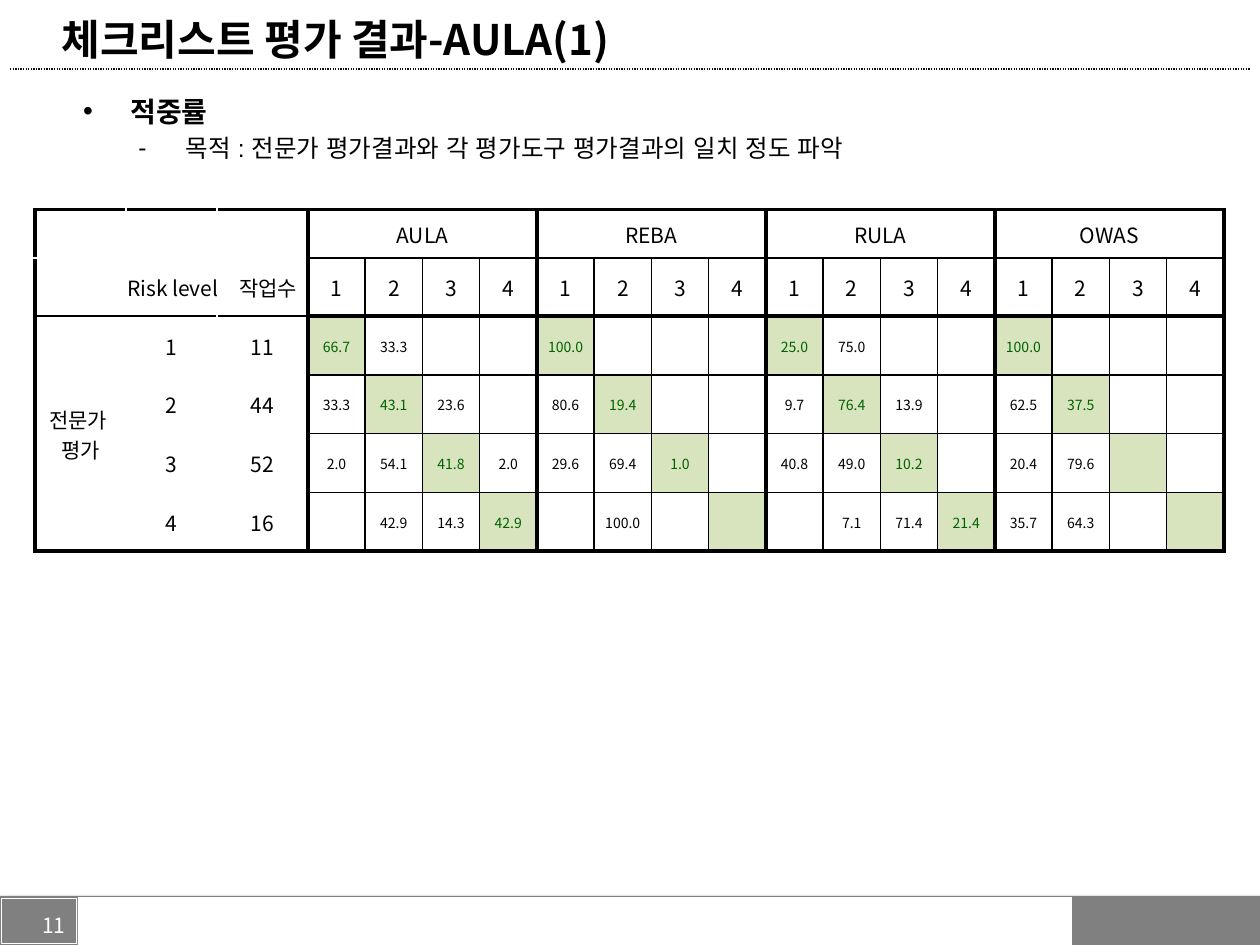
from lxml import etree
from pptx import Presentation
from pptx.dml.color import RGBColor
from pptx.enum.dml import MSO_LINE
from pptx.enum.shapes import MSO_CONNECTOR, MSO_SHAPE
from pptx.enum.text import MSO_ANCHOR, PP_ALIGN
from pptx.oxml.ns import qn
from pptx.util import Pt

LEFT, CENTER, RIGHT = PP_ALIGN.LEFT, PP_ALIGN.CENTER, PP_ALIGN.RIGHT
TOP, MIDDLE = MSO_ANCHOR.TOP, MSO_ANCHOR.MIDDLE
RECTANGLE, STRAIGHT = MSO_SHAPE.RECTANGLE, MSO_CONNECTOR.STRAIGHT
DOTTED = MSO_LINE.ROUND_DOT

BLACK = RGBColor(0x00, 0x00, 0x00)
WHITE = RGBColor(0xFF, 0xFF, 0xFF)
GRAY = RGBColor(0x80, 0x80, 0x80)
RULE_COLOR = RGBColor(0x0D, 0x0D, 0x0D)
HIT_FILL = RGBColor(0xD7, 0xE4, 0xBD)
HIT_TEXT = RGBColor(0x00, 0x61, 0x00)

KOREAN_FONT = "Noto Sans CJK KR"
BODY_FONT = "Arial"

HEAVY, THIN, HIDDEN = (BLACK, 2.25), (BLACK, 1), (WHITE, 1)
LABEL_COLUMNS, HEADER_ROWS, LEVELS = 3, 2, 4
TASK_COUNTS = [11, 44, 52, 16]
HIT_RATES = {
    "AULA": [["66.7", "33.3", "", ""], ["33.3", "43.1", "23.6", ""],
             ["2.0", "54.1", "41.8", "2.0"], ["", "42.9", "14.3", "42.9"]],
    "REBA": [["100.0", "", "", ""], ["80.6", "19.4", "", ""],
             ["29.6", "69.4", "1.0", ""], ["", "100.0", "", ""]],
    "RULA": [["25.0", "75.0", "", ""], ["9.7", "76.4", "13.9", ""],
             ["40.8", "49.0", "10.2", ""], ["", "7.1", "71.4", "21.4"]],
    "OWAS": [["100.0", "", "", ""], ["62.5", "37.5", "", ""],
             ["20.4", "79.6", "", ""], ["35.7", "64.3", "", ""]],
}
ROW_HEIGHTS = [27.6, 33.2] + [33.6] * LEVELS
LABEL_WIDTH, LEVEL_WIDTH = 52, 32.73
COLUMN_COUNT = LABEL_COLUMNS + LEVELS * len(HIT_RATES)
HEAVY_COLUMN_EDGES = {0, *range(LABEL_COLUMNS, COLUMN_COUNT + 1, LEVELS)}


def write(paragraph, text, size=12, color=BLACK, font=KOREAN_FONT, bold=False, align=CENTER):
    paragraph.alignment = align
    for index, line in enumerate(text.split("\n")):
        if index:
            paragraph.add_line_break()
        run = paragraph.add_run()
        run.text = line
        run.font.size, run.font.bold, run.font.name = Pt(size), bold, font
        run.font.color.rgb = color
        etree.SubElement(run.font._element, qn("a:ea"), typeface=font)


def add_rectangle(slide, left, top, width, height, fill=None, line=None):
    shape = slide.shapes.add_shape(RECTANGLE, Pt(left), Pt(top), Pt(width), Pt(height))
    shape.shadow.inherit = False
    if fill is None:
        shape.fill.background()
    else:
        shape.fill.solid()
        shape.fill.fore_color.rgb = fill
    if line is None:
        shape.line.fill.background()
    else:
        shape.line.color.rgb = line
        shape.line.width = Pt(0.5)
    return shape


def add_footer(slide, left, top, width, height):
    bar = add_rectangle(slide, left, top, width, height, fill=GRAY)
    effects = bar._element.spPr.find(qn("a:effectLst"))
    shadow = etree.SubElement(effects, qn("a:outerShdw"), blurRad=str(Pt(3.1)),
                              dist=str(Pt(1.6)), dir="5400000", rotWithShape="0")
    color = etree.SubElement(shadow, qn("a:srgbClr"), val=str(BLACK))
    etree.SubElement(color, qn("a:alpha"), val="38000")

    number_width = 44.6
    add_rectangle(slide, left + number_width, top + 0.8, 568, height - 0.8, fill=WHITE)
    add_rectangle(slide, left + 0.7, top + 1.5, 43.2, 25.9, line=WHITE)
    number = slide.shapes.add_textbox(Pt(left), Pt(top + 5.8), Pt(number_width), Pt(22.3))
    number.text_frame.word_wrap = True
    number.text_frame.vertical_anchor = MIDDLE
    write(number.text_frame.paragraphs[0], "11", color=WHITE, align=RIGHT)


def add_title(slide, left, top, width, height):
    title = slide.shapes.title
    title.left, title.top, title.width, title.height = map(Pt, (left, top, width, height))
    title.text_frame.vertical_anchor = MIDDLE
    write(title.text_frame.paragraphs[0], "체크리스트 평가 결과-AULA(1)",
          size=24, bold=True, align=LEFT)

    rule = slide.shapes.add_connector(STRAIGHT, Pt(5.8), Pt(top + height),
                                      Pt(714.2), Pt(top + height))
    rule.line.color.rgb = RULE_COLOR
    rule.line.width = Pt(0.75)
    rule.line.dash_style = DOTTED
    etree.SubElement(rule._element.spPr, qn("a:effectLst"))


def add_body(slide, left, top, width, height):
    frame = slide.shapes.add_textbox(Pt(left), Pt(top), Pt(width), Pt(height)).text_frame
    frame.word_wrap = True
    frame.vertical_anchor = TOP
    lines = [("•", "적중률", 16, True),
             ("-", "목적 : 전문가 평가결과와 각 평가도구 평가결과의 일치 정도 파악", 14, False)]
    for level, (bullet, text, size, bold) in enumerate(lines):
        paragraph = frame.add_paragraph() if level else frame.paragraphs[0]
        paragraph.level = level
        paragraph.space_before = Pt(size * 0.2 * level)
        write(paragraph, text, size=size, font=BODY_FONT, bold=bold, align=LEFT)
        properties = paragraph._p.get_or_add_pPr()
        properties.set("marL", str(Pt(31.5 * (level + 1))))
        properties.set("indent", str(Pt(-27)))
        etree.SubElement(properties, qn("a:buFont"), typeface=BODY_FONT)
        etree.SubElement(properties, qn("a:buChar"), char=bullet)


def column_edge(edge):
    if edge in HEAVY_COLUMN_EDGES:
        return HEAVY
    return HIDDEN if edge < LABEL_COLUMNS else THIN


def row_edge(edge, column):
    if edge in (0, len(ROW_HEIGHTS)):
        return HEAVY
    if column < LABEL_COLUMNS:
        return THIN if edge == HEADER_ROWS else HIDDEN
    return HEAVY if edge == HEADER_ROWS else THIN


def style_cell(cell, row, column):
    cell.margin_left = cell.margin_top = cell.margin_right = Pt(0.7)
    cell.margin_bottom = 0
    cell.vertical_anchor = MIDDLE
    is_hit = column >= LABEL_COLUMNS and row - HEADER_ROWS == (column - LABEL_COLUMNS) % LEVELS
    bottom = row + (cell.span_height if cell.is_merge_origin else 1)
    right = column + (cell.span_width if cell.is_merge_origin else 1)
    edges = {"a:lnL": column_edge(column), "a:lnR": column_edge(right),
             "a:lnT": row_edge(row, column), "a:lnB": row_edge(bottom, column)}
    properties = cell._tc.get_or_add_tcPr()
    for tag, (color, width) in edges.items():
        line = etree.SubElement(properties, qn(tag), w=str(Pt(width)))
        fill = etree.SubElement(line, qn("a:solidFill"))
        etree.SubElement(fill, qn("a:srgbClr"), val=str(color))
    if is_hit:
        cell.fill.solid()
        cell.fill.fore_color.rgb = HIT_FILL
    else:
        cell.fill.background()


def add_rate_table(slide, left, top):
    widths = [LABEL_WIDTH] * LABEL_COLUMNS + [LEVEL_WIDTH] * (COLUMN_COUNT - LABEL_COLUMNS)
    table = slide.shapes.add_table(len(ROW_HEIGHTS), COLUMN_COUNT, Pt(left), Pt(top),
                                   Pt(sum(widths)), Pt(sum(ROW_HEIGHTS))).table
    table.first_row = table.horz_banding = False
    for column, width in zip(table.columns, widths):
        column.width = Pt(width)
    for row, height in zip(table.rows, ROW_HEIGHTS):
        row.height = Pt(height)

    def fill_cell(row, column, text, **text_format):
        write(table.cell(row, column).text_frame.paragraphs[0], text, **text_format)

    table.cell(1, 1).merge(table.cell(1, 2))
    fill_cell(1, 1, "Risk level\t작업수", align=LEFT)
    properties = table.cell(1, 1).text_frame.paragraphs[0]._p.get_or_add_pPr()
    tabs = etree.SubElement(properties, qn("a:tabLst"))
    etree.SubElement(tabs, qn("a:tab"), pos=str(Pt(64)), algn="l")

    table.cell(HEADER_ROWS, 0).merge(table.cell(len(ROW_HEIGHTS) - 1, 0))
    fill_cell(HEADER_ROWS, 0, "전문가 \n평가")
    for level, count in enumerate(TASK_COUNTS):
        fill_cell(HEADER_ROWS + level, 1, str(level + 1))
        fill_cell(HEADER_ROWS + level, 2, str(count))

    for group, (tool, rates) in enumerate(HIT_RATES.items()):
        first = LABEL_COLUMNS + group * LEVELS
        table.cell(0, first).merge(table.cell(0, first + LEVELS - 1))
        fill_cell(0, first, tool)
        for level in range(LEVELS):
            fill_cell(1, first + level, str(level + 1))
            for expert, rate in enumerate(rates[level]):
                if rate:
                    fill_cell(HEADER_ROWS + level, first + expert, rate, size=8,
                              color=HIT_TEXT if expert == level else BLACK)

    for row in range(len(ROW_HEIGHTS)):
        for column in range(COLUMN_COUNT):
            if not table.cell(row, column).is_spanned:
                style_cell(table.cell(row, column), row, column)


def main():
    presentation = Presentation()
    presentation.slide_width, presentation.slide_height = Pt(720), Pt(540)
    slide = presentation.slides.add_slide(presentation.slide_layouts[5])
    add_footer(slide, 0, 511.9, 720, 28.1)
    add_title(slide, 28, 5, 648, 34.5)
    add_body(slide, 36, 50.4, 648, 432)
    add_rate_table(slide, 20, 119.8)
    presentation.save("out.pptx")


if __name__ == "__main__":
    main()
